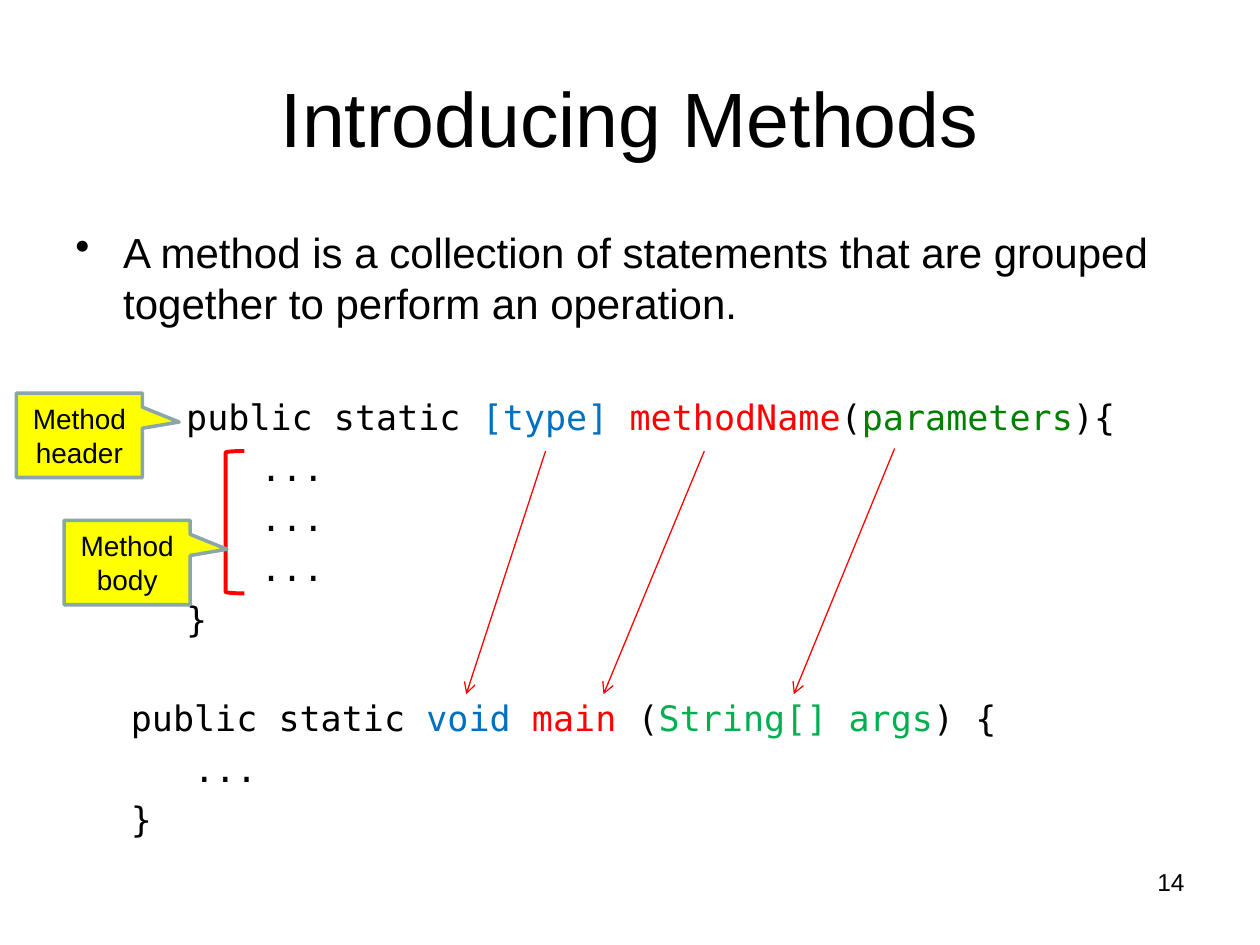
from dataclasses import dataclass

from lxml import etree
from pptx import Presentation
from pptx.dml.color import RGBColor
from pptx.enum.shapes import MSO_CONNECTOR, MSO_SHAPE
from pptx.enum.text import MSO_ANCHOR, PP_ALIGN
from pptx.oxml.ns import qn
from pptx.util import Inches, Pt

STRAIGHT = MSO_CONNECTOR.STRAIGHT
CALLOUT = MSO_SHAPE.RECTANGULAR_CALLOUT
LEFT_BRACKET = MSO_SHAPE.LEFT_BRACKET
MIDDLE = MSO_ANCHOR.MIDDLE
LEFT, CENTER, RIGHT = PP_ALIGN.LEFT, PP_ALIGN.CENTER, PP_ALIGN.RIGHT


@dataclass(frozen=True)
class Theme:
    text_font: str = "Arial"
    code_font: str = "DejaVu Sans Mono"
    title_size: int = 44
    body_size: int = 24
    code_size: int = 20
    callout_size: int = 16
    number_size: int = 14
    black: str = "000000"
    red: str = "FF0000"
    blue: str = "0070C0"
    dark_green: str = "008000"
    green: str = "00B050"
    yellow: str = "FFFF00"
    gray: str = "8AA6A8"


THEME = Theme()
LINE_GAP = 4.8
INTRO_GAP = 39
EXAMPLE_GAP = 32.8
TEMPLATE_INDENT, STATEMENT_INDENT, EXAMPLE_INDENT = 0.88, 1.47, 0.44

STATEMENT = (STATEMENT_INDENT, LINE_GAP, [("...", THEME.black)])
CODE_LINES = [
    (TEMPLATE_INDENT, INTRO_GAP, [
        ("public static ", THEME.black), ("[type] ", THEME.blue),
        ("methodName", THEME.red), ("(", THEME.black),
        ("parameters", THEME.dark_green), ("){", THEME.black)]),
    *[STATEMENT] * 3,
    (TEMPLATE_INDENT, LINE_GAP, [("}", THEME.black)]),
    (EXAMPLE_INDENT, EXAMPLE_GAP, [
        ("public static ", THEME.black), ("void ", THEME.blue),
        ("main", THEME.red), (" (", THEME.black),
        ("String[] args", THEME.green), (") {", THEME.black)]),
    (EXAMPLE_INDENT, LINE_GAP, [("\t...", THEME.black)]),
    (EXAMPLE_INDENT, LINE_GAP, [("}", THEME.black)]),
]
CALLOUTS = [("Method header", 0.13, 3.12), ("Method body", 0.51, 4.13)]
ARROWS = [
    (4.33, 3.58, 3.7, 5.51),
    (5.59, 3.58, 4.79, 5.51),
    (7.1, 3.56, 6.3, 5.51),
]


def color(value):
    return RGBColor.from_string(value)


def format_text(paragraph, size, alignment=LEFT):
    paragraph.alignment = alignment
    paragraph.font.name = THEME.text_font
    paragraph.font.size = Pt(size)
    paragraph.font.color.rgb = color(THEME.black)


def set_indent(paragraph, margin, first_line=0):
    properties = paragraph._p.get_or_add_pPr()
    properties.set("marL", str(Inches(margin)))
    properties.set("indent", str(Inches(first_line)))
    return properties


def set_line(shape, line_color, width):
    shape.line.color.rgb = color(line_color)
    shape.line.width = Pt(width)


def add_text_box(slide, left, top, width, height):
    box = slide.shapes.add_textbox(
        Inches(left), Inches(top), Inches(width), Inches(height))
    box.text_frame.word_wrap = True
    return box.text_frame


def add_title(slide, text):
    title = slide.shapes.title
    title.left, title.top = Inches(0.5), Inches(0.3)
    title.width, title.height = Inches(9), Inches(1.25)
    title.text_frame.text = text
    title.text_frame.vertical_anchor = MIDDLE
    format_text(title.text_frame.paragraphs[0], THEME.title_size, CENTER)


def add_code_line(frame, indent, gap, tokens):
    paragraph = frame.add_paragraph()
    set_indent(paragraph, indent)
    paragraph.space_before = Pt(gap)
    paragraph.font.name = THEME.code_font
    paragraph.font.size = Pt(THEME.code_size)
    for text, token_color in tokens:
        run = paragraph.add_run()
        run.text = text
        run.font.color.rgb = color(token_color)


def add_body(slide):
    frame = add_text_box(slide, 0.5, 1.75, 9, 4.95)
    definition = frame.paragraphs[0]
    definition.text = ("A method is a collection of statements that are "
                       "grouped together to perform an operation.")
    properties = set_indent(definition, 0.38, -0.38)
    etree.SubElement(properties, qn("a:buChar"), char="•")
    format_text(definition, THEME.body_size)
    for indent, gap, tokens in CODE_LINES:
        add_code_line(frame, indent, gap, tokens)


def add_slide_number(slide, number):
    paragraph = add_text_box(slide, 7.17, 6.83, 2.33, 0.52).paragraphs[0]
    paragraph.text = number
    format_text(paragraph, THEME.number_size, RIGHT)


def add_callout(slide, text, left, top):
    callout = slide.shapes.add_shape(
        CALLOUT, Inches(left), Inches(top), Inches(1), Inches(0.67))
    callout.shadow.inherit = False
    callout.adjustments[0] = 0.792
    callout.adjustments[1] = -0.157
    callout.fill.solid()
    callout.fill.fore_color.rgb = color(THEME.yellow)
    set_line(callout, THEME.gray, 2)
    frame = callout.text_frame
    frame.word_wrap = True
    frame.vertical_anchor = MIDDLE
    frame.text = text
    format_text(frame.paragraphs[0], THEME.callout_size, CENTER)


def add_bracket(slide):
    bracket = slide.shapes.add_shape(
        LEFT_BRACKET, Inches(1.79), Inches(3.58), Inches(0.15), Inches(1.13))
    bracket.shadow.inherit = False
    bracket.fill.background()
    set_line(bracket, THEME.red, 2.25)


def add_arrow(slide, *ends):
    arrow = slide.shapes.add_connector(STRAIGHT, *map(Inches, ends))
    set_line(arrow, THEME.red, 0.75)
    etree.SubElement(arrow.line._get_or_add_ln(), qn("a:tailEnd"), type="arrow")
    etree.SubElement(arrow._element.spPr, qn("a:effectLst"))


def main():
    presentation = Presentation()
    presentation.slide_width = Inches(10)
    presentation.slide_height = Inches(7.5)
    slide = presentation.slides.add_slide(presentation.slide_layouts[5])
    add_title(slide, "Introducing Methods")
    add_body(slide)
    add_slide_number(slide, "14")
    add_bracket(slide)
    for text, left, top in CALLOUTS:
        add_callout(slide, text, left, top)
    for ends in ARROWS:
        add_arrow(slide, *ends)
    presentation.save("out.pptx")


if __name__ == "__main__":
    main()
